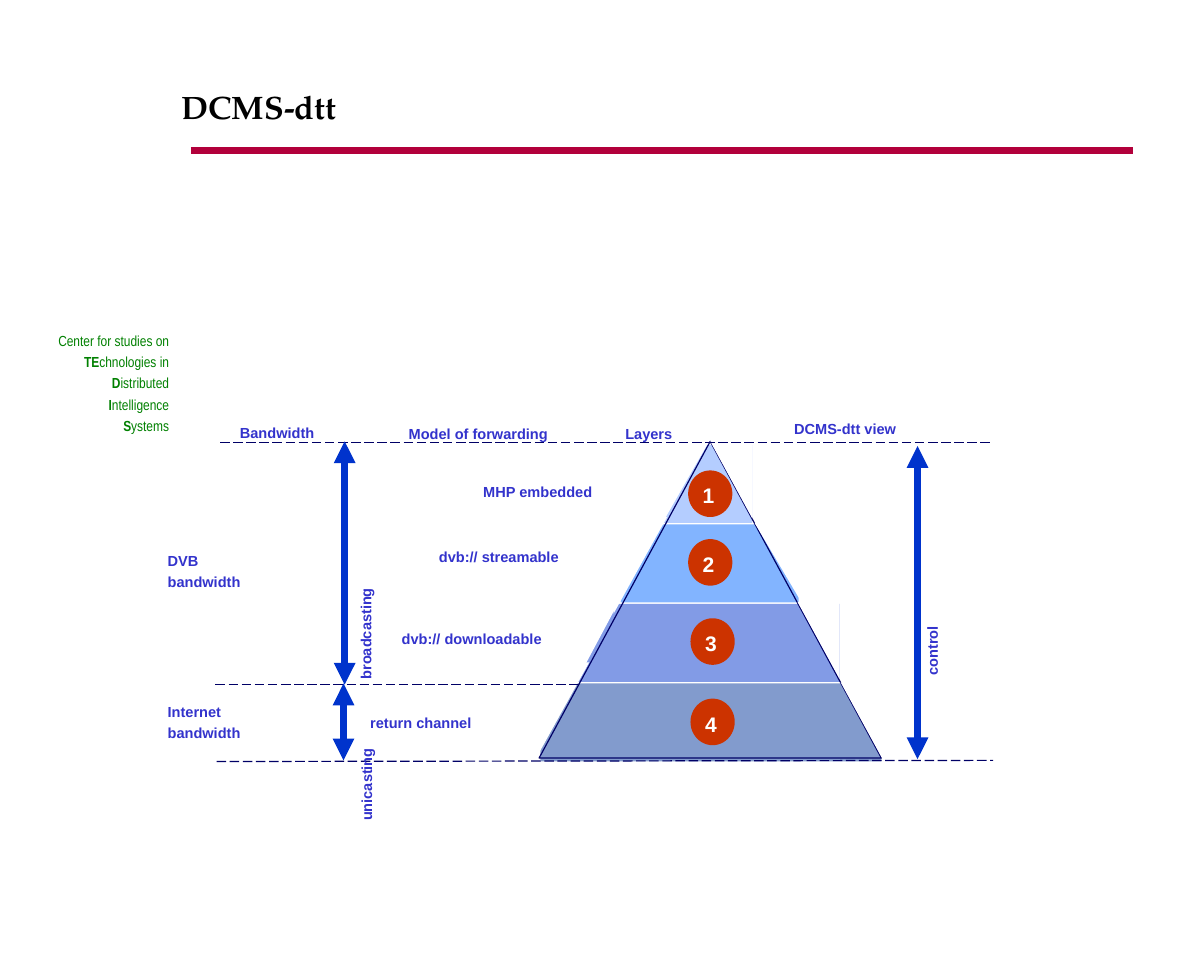
"""Build the DCMS-dtt slide with its layered bandwidth pyramid."""
from dataclasses import dataclass

from lxml.etree import SubElement
from pptx import Presentation
from pptx.dml.color import RGBColor
from pptx.enum.dml import MSO_LINE_DASH_STYLE as Dash
from pptx.enum.shapes import MSO_CONNECTOR, MSO_SHAPE as Kind
from pptx.enum.text import MSO_ANCHOR as Anchor, PP_ALIGN as Align
from pptx.oxml.ns import qn
from pptx.util import Inches, Pt

COLOURS = {
    "rule": "B2003B", "centre": "008000", "label": "3333CC", "outline": "000066",
    "arrow": "0033CC", "badge": "CC3300", "white": "FFFFFF", "black": "000000",
    "layer 1": "6699FF", "layer 2": "0066FF", "layer 3": "0033CC", "layer 4": "003399",
}
LAYER_TOP, LAYER_STEP, LAYER_HEIGHT = 3.82, 0.683, 0.67
BADGE_WIDTH, BADGE_HEIGHT = 0.38, 0.4
INDENT = 0.53


@dataclass
class Layer:
    """A pyramid layer with its numbered badge."""
    left: float
    width: float
    badge_left: float
    badge_top: float


@dataclass
class Mask:
    """A white corner that trims the layers to the pyramid's side."""
    left: float
    top: float
    width: float
    height: float
    right_side: bool


@dataclass
class Label:
    """A bold caption, optionally indented or turned upwards."""
    lines: tuple[str, ...]
    left: float
    top: float
    width: float
    indent: float = INDENT
    rotation: int = 0


@dataclass
class Rule:
    """A straight line between two points."""
    start: tuple[float, float]
    end: tuple[float, float]
    colour: str = "outline"
    weight: float = 0.75
    dashed: bool = True
    arrows: bool = False


LAYERS = [
    Layer(5.7, 0.76, 5.91, 4.04), Layer(5.33, 1.53, 5.91, 4.63),
    Layer(4.96, 2.25, 5.93, 5.31), Layer(4.64, 2.93, 5.93, 6),
]
MASKS = [
    Mask(7.22, 5.86, 0.36, 0.66, True), Mask(6.85, 5.17, 0.36, 0.66, True),
    Mask(6.48, 4.49, 0.39, 0.66, True), Mask(6.1, 3.79, 0.36, 0.66, True),
    Mask(5.69, 3.79, 0.4, 0.7, False), Mask(5.27, 4.44, 0.46, 0.83, False),
    Mask(4.93, 5.14, 0.4, 0.75, False), Mask(4.6, 5.69, 0.46, 0.83, False),
]
LABELS = [
    Label(("DVB", "bandwidth"), 0.8, 4.66, 2.43),
    Label(("Internet", "bandwidth"), 0.8, 5.96, 2.43),
    Label(("MHP embedded",), 3.51, 4.07, 2.75),
    Label(("return channel",), 3.07, 6.05, 2.14, 0),
    Label(("dvb:// streamable",), 3.13, 4.63, 2.84),
    Label(("dvb:// downloadable",), 2.81, 5.33, 3.01),
    Label(("broadcasting",), 1.82, 5.05, 2.59, rotation=270),
    Label(("DCMS-dtt view",), 6.71, 3.53, 2.15, 0),
    Label(("Layers",), 4.73, 3.57, 2.21),
    Label(("Model of forwarding",), 2.87, 3.57, 3),
    Label(("Bandwidth",), 1.42, 3.56, 2.45),
    Label(("control",), 7.13, 4.93, 1.7, 0, 270),
    Label(("unicasting",), 2.17, 6.08, 1.9, 0, 270),
]
RULES = [
    Rule((1.85, 5.88), (4.98, 5.88)),
    Rule((1.86, 6.54), (8.53, 6.53)),
    Rule((1.89, 3.8), (8.52, 3.8)),
    Rule((2.96, 3.79), (2.96, 5.88), "arrow", 4.5, False, True),
    Rule((2.95, 5.87), (2.95, 6.53), "arrow", 4.5, False, True),
    Rule((7.88, 3.83), (7.88, 6.52), "arrow", 4.5, False, True),
]
CENTRE_NAME = [
    ("", "Center for studies on"), ("TE", "chnologies in"), ("D", "istributed"),
    ("I", "ntelligence"), ("S", "ystems"),
]


def colour(name: str) -> RGBColor:
    """Look up a named colour."""
    return RGBColor.from_string(COLOURS[name])


def add_span(para, text: str, size: float, font: str, tint: str, bold: bool) -> None:
    """Append one formatted run."""
    span = para.add_run()
    span.text = text
    span.font.size, span.font.name, span.font.bold = Pt(size), font, bold
    span.font.color.rgb = colour(tint)


def set_margins(frame, left: float, top: float, right: float, bottom: float) -> None:
    """Set the insets of a text frame and turn wrapping on."""
    frame.margin_left, frame.margin_top = Inches(left), Inches(top)
    frame.margin_right, frame.margin_bottom = Inches(right), Inches(bottom)
    frame.word_wrap = True


def add_shape(page, kind: Kind, box: tuple[float, ...], fill: str | None):
    """Add a flat preset shape without an outline."""
    shape = page.shapes.add_shape(kind, *map(Inches, box))
    shape.shadow.inherit = False
    shape.line.fill.background()
    if fill:
        shape.fill.solid()
        shape.fill.fore_color.rgb = colour(fill)
    else:
        shape.fill.background()
    return shape


def add_rule(page, rule: Rule) -> None:
    """Draw a line, dashed or with arrowheads as described."""
    ends = map(Inches, rule.start + rule.end)
    line = page.shapes.add_connector(MSO_CONNECTOR.STRAIGHT, *ends)
    line.line.color.rgb = colour(rule.colour)
    line.line.width = Pt(rule.weight)
    if rule.dashed:
        line.line.dash_style = Dash.LONG_DASH
    if rule.arrows:
        for tag in ("a:headEnd", "a:tailEnd"):
            SubElement(line.line._get_or_add_ln(), qn(tag), type="triangle")
    SubElement(line.element.spPr, qn("a:effectLst"))


def add_label(page, label: Label) -> None:
    """Write a caption, one paragraph a line."""
    height = 0.26 if len(label.lines) == 1 else 0.44
    box = page.shapes.add_textbox(*map(Inches, (label.left, label.top, label.width, height)))
    box.rotation = label.rotation
    frame = box.text_frame
    set_margins(frame, 0.11 + label.indent, 0.08, 0.11, 0.05)
    for index, text in enumerate(label.lines):
        para = frame.add_paragraph() if index else frame.paragraphs[0]
        if index:
            para.space_before = Pt(2.2)
        add_span(para, text, 9, "Arial", "label", True)


def add_centre_name(page) -> None:
    """Write the name of the study centre at the left."""
    box = page.shapes.add_textbox(*map(Inches, (0.26, 2.76, 1.29, 1.13)))
    frame = box.text_frame
    set_margins(frame, 0.1, 0.13, 0.1, 0.05)
    for index, (initial, rest) in enumerate(CENTRE_NAME):
        para = frame.add_paragraph() if index else frame.paragraphs[0]
        para.alignment, para.line_spacing = Align.RIGHT, 0.7
        if index:
            para.space_before = Pt(5.6)
        if initial:
            add_span(para, initial, 9, "Arial Narrow", "centre", True)
        add_span(para, rest, 9, "Arial Narrow", "centre", False)


def add_pyramid(page) -> None:
    """Draw the layers, the outline, the trimmed sides and the badges."""
    for index, layer in enumerate(LAYERS):
        top = LAYER_TOP + index * LAYER_STEP
        band = add_shape(page, Kind.RECTANGLE, (layer.left, top, layer.width, LAYER_HEIGHT),
                         f"layer {index + 1}")
        tint = band.element.spPr.find(".//" + qn("a:srgbClr"))
        SubElement(tint, qn("a:alpha"), val="49000")
    outline = add_shape(page, Kind.ISOSCELES_TRIANGLE, (4.63, 3.79, 2.94, 2.72), None)
    outline.line.color.rgb = colour("outline")
    outline.line.width = Pt(0.75)
    for mask in MASKS:
        corner = add_shape(page, Kind.RIGHT_TRIANGLE,
                           (mask.left, mask.top, mask.width, mask.height), "white")
        corner.element.spPr.xfrm.set("flipV", "1")
        if mask.right_side:
            corner.element.spPr.xfrm.set("flipH", "1")
    for number, layer in enumerate(LAYERS, 1):
        badge = add_shape(page, Kind.OVAL, (layer.badge_left, layer.badge_top,
                                            BADGE_WIDTH, BADGE_HEIGHT), "badge")
        frame = badge.text_frame
        set_margins(frame, 0, 0.03, 0.03, 0)
        frame.vertical_anchor = Anchor.MIDDLE
        para = frame.paragraphs[0]
        para.alignment = Align.CENTER
        add_span(para, str(number), 13, "Arial", "white", True)


def add_title(page) -> None:
    """Place and format the title."""
    title = page.shapes.title
    title.left, title.top, title.width, title.height = map(Inches, (1.46, 0.73, 7.75, 0.37))
    frame = title.text_frame
    set_margins(frame, 0.1, 0.05, 0.1, 0.05)
    frame.vertical_anchor = Anchor.MIDDLE
    frame.paragraphs[0].alignment = Align.LEFT
    add_span(frame.paragraphs[0], "DCMS-dtt", 20, "TeX Gyre Pagella", "black", True)


def main() -> None:
    """Build and save the deck."""
    deck = Presentation()
    deck.slide_width, deck.slide_height = Inches(10.34), Inches(8.27)
    page = deck.slides.add_slide(deck.slide_layouts[5])
    add_title(page)
    add_rule(page, Rule((1.64, 1.29), (9.73, 1.29), "rule", 4.5, False))
    add_centre_name(page)
    add_pyramid(page)
    for rule in RULES:
        add_rule(page, rule)
    for label in LABELS:
        add_label(page, label)
    deck.save("out.pptx")


if __name__ == "__main__":
    main()
